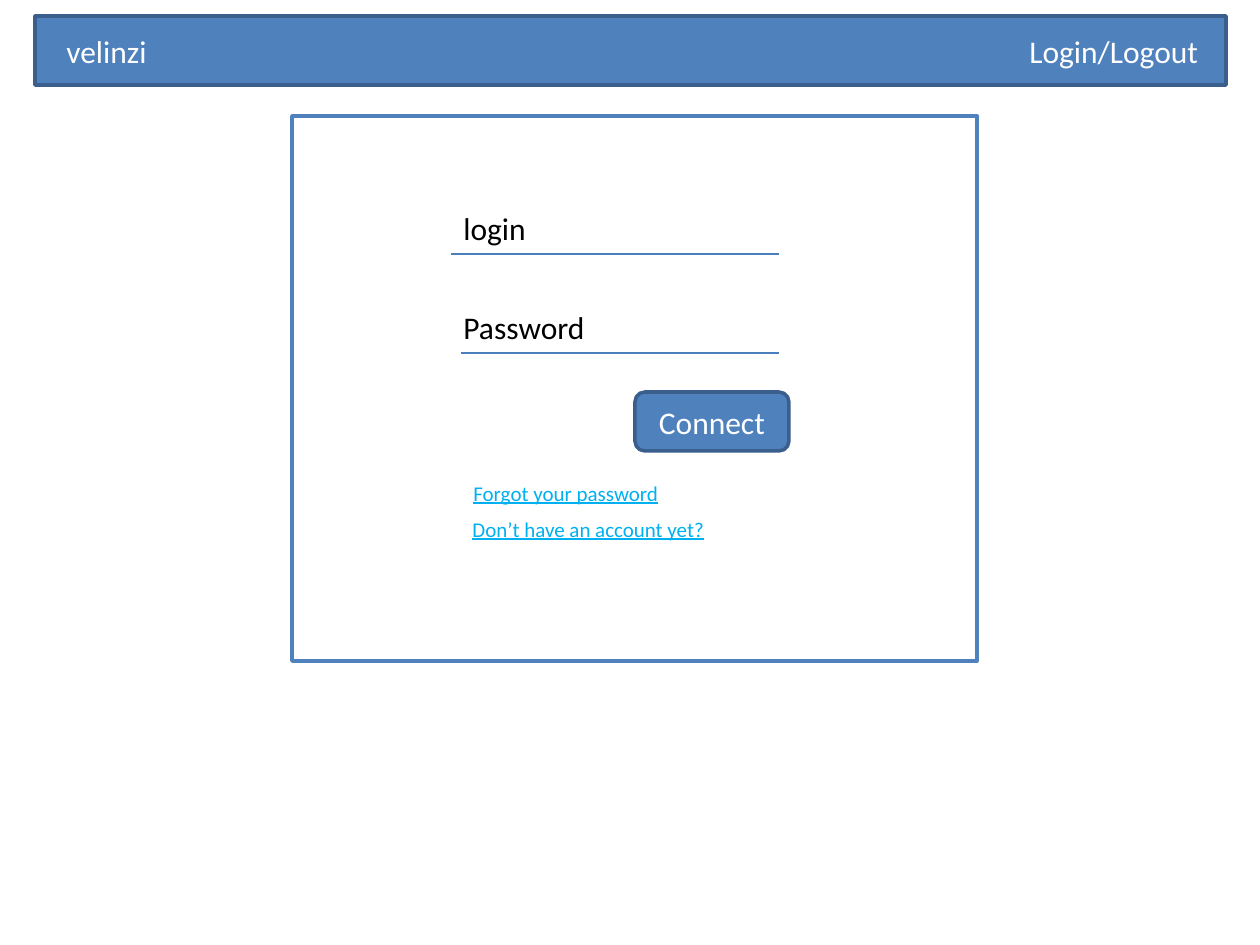
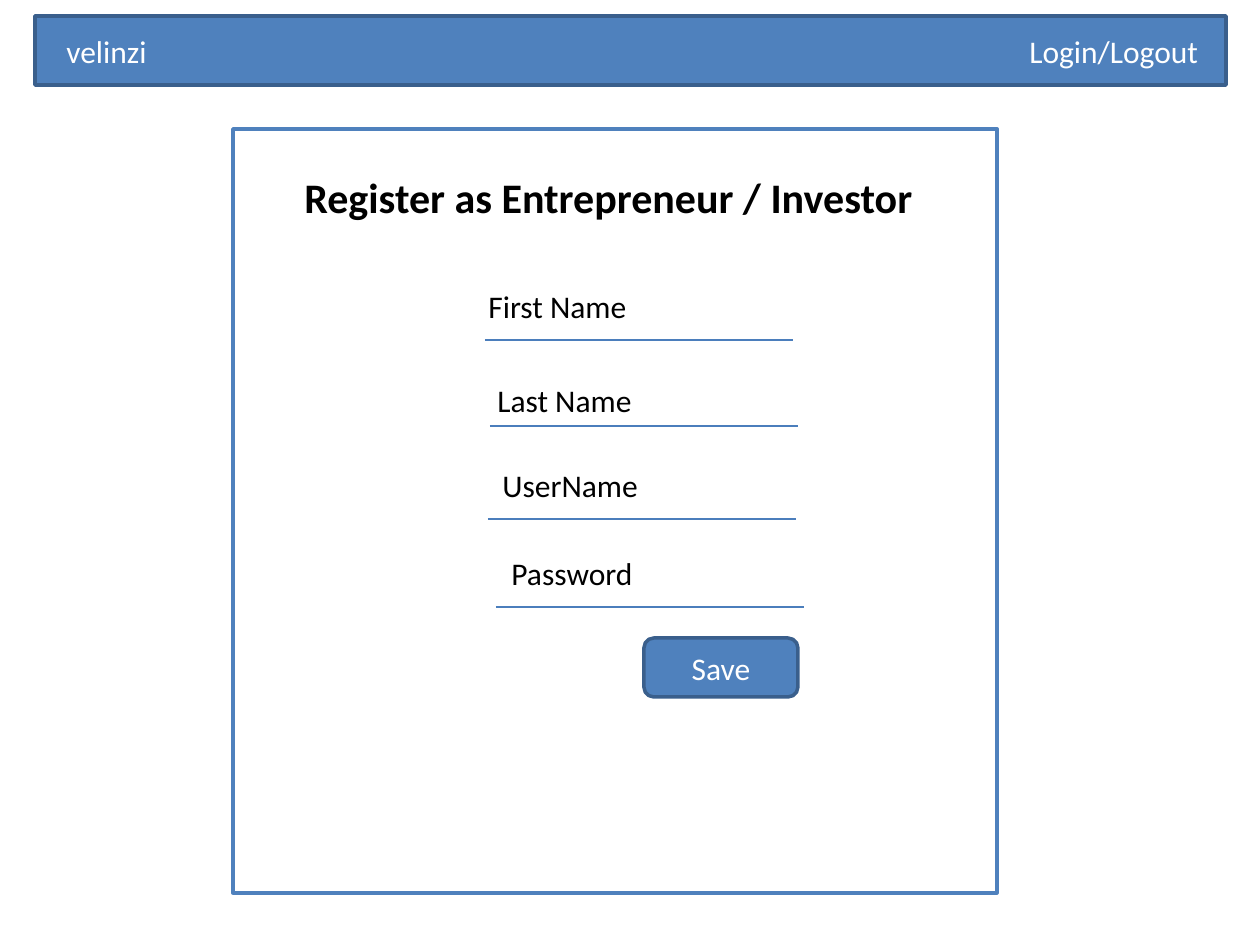
from dataclasses import dataclass

from lxml import etree
from pptx import Presentation
from pptx.dml.color import RGBColor
from pptx.enum.shapes import MSO_CONNECTOR, MSO_SHAPE
from pptx.enum.text import MSO_ANCHOR, MSO_AUTO_SIZE, PP_ALIGN
from pptx.oxml.ns import qn
from pptx.util import Pt

RECTANGLE = MSO_SHAPE.RECTANGLE
ROUNDED = MSO_SHAPE.ROUNDED_RECTANGLE
STRAIGHT = MSO_CONNECTOR.STRAIGHT
MIDDLE = MSO_ANCHOR.MIDDLE
FIT_SHAPE = MSO_AUTO_SIZE.SHAPE_TO_FIT_TEXT
LEFT = PP_ALIGN.LEFT
CENTER = PP_ALIGN.CENTER

EMU_PER_PIXEL = 914400 / 126
SLIDE_SIZE = (1260, 945)
BLANK_LAYOUT = 6


@dataclass(frozen=True)
class Theme:
    font: str = "Calibri"
    blue: str = "4F81BD"
    dark_blue: str = "3A5F8C"
    rule: str = "4B7EBC"
    link: str = "00B0F0"
    white: str = "FFFFFF"
    black: str = "000000"
    title_size: int = 24
    body_size: int = 18
    link_size: int = 12
    outline: float = 2
    rule_width: float = 0.75


THEME = Theme()
BODY = {"size": THEME.body_size, "color": THEME.black}
ON_BLUE = {**BODY, "color": THEME.white}
TITLE = {**BODY, "size": THEME.title_size, "bold": True}
LINK = {"size": THEME.link_size, "color": THEME.link, "underline": True}


def pixels(*lengths):
    return [round(length * EMU_PER_PIXEL) for length in lengths]


def set_attributes(target, values):
    for name, value in values.items():
        setattr(target, name, value)


def write(frame, text, style, align=LEFT):
    paragraph = frame.paragraphs[0]
    paragraph.alignment = align
    run = paragraph.add_run()
    run.text = text
    values = {"name": THEME.font, **style, "size": Pt(style["size"])}
    color = values.pop("color")
    set_attributes(run.font, values)
    run.font.color.rgb = RGBColor.from_string(color)


def add_label(slide, text, box, style=BODY):
    frame = slide.shapes.add_textbox(*pixels(*box)).text_frame
    set_attributes(frame, {"word_wrap": False, "auto_size": FIT_SHAPE})
    write(frame, text, style)


def add_panel(slide, kind, box, fill, outline):
    shape = slide.shapes.add_shape(kind, *pixels(*box))
    shape.shadow.inherit = False
    shape.fill.solid()
    shape.fill.fore_color.rgb = RGBColor.from_string(fill)
    shape.line.color.rgb = RGBColor.from_string(outline)
    shape.line.width = Pt(THEME.outline)
    return shape


def add_rule(slide, left, right, top):
    rule = slide.shapes.add_connector(STRAIGHT, *pixels(left, top, right, top))
    rule.line.color.rgb = RGBColor.from_string(THEME.rule)
    rule.line.width = Pt(THEME.rule_width)
    etree.SubElement(rule._element.spPr, qn("a:effectLst"))


def add_field(slide, text, label, rule):
    left, top, width = label
    add_rule(slide, *rule)
    add_label(slide, text, (left, top, width, 50))


def add_button(slide, text, left, top):
    button = add_panel(slide, ROUNDED, (left, top, 154, 59), THEME.blue, THEME.dark_blue)
    set_attributes(button.text_frame, {"word_wrap": True, "vertical_anchor": MIDDLE})
    write(button.text_frame, text, ON_BLUE, CENTER)


def add_page(presentation, card):
    slide = presentation.slides.add_slide(presentation.slide_layouts[BLANK_LAYOUT])
    add_panel(slide, RECTANGLE, (35, 16, 1191, 69), THEME.blue, THEME.dark_blue)
    add_label(slide, "velinzi", (54, 26, 123, 50), ON_BLUE)
    add_label(slide, "Login/Logout", (1017, 26, 197, 50), ON_BLUE)
    add_panel(slide, RECTANGLE, card, THEME.white, THEME.blue)
    return slide


def build_login(presentation):
    slide = add_page(presentation, (292, 116, 685, 545))
    add_field(slide, "login", (451, 203, 88), (451, 779, 254))
    add_field(slide, "Password", (451, 302, 147), (461, 779, 353))
    add_button(slide, "Connect", 635, 392)
    add_label(slide, "Forgot your password", (461, 474, 212, 38), LINK)
    add_label(slide, "Don’t have an account yet?", (460, 510, 260, 38), LINK)


def build_register(presentation):
    slide = add_page(presentation, (233, 129, 764, 764))
    rule_width = 308
    fields = [
        ("First Name", (476, 281, 165), 485, 340),
        ("Last Name", (485, 375, 161), 490, 426),
        ("UserName", (490, 460, 163), 488, 519),
        ("Password", (499, 548, 147), 496, 607),
    ]
    for text, label, left, top in fields:
        add_field(slide, text, label, (left, left + rule_width, top))
    add_button(slide, "Save", 644, 638)
    add_label(slide, "Register as Entrepreneur / Investor", (292, 165, 640, 63), TITLE)


def main():
    presentation = Presentation()
    width, height = pixels(*SLIDE_SIZE)
    set_attributes(presentation, {"slide_width": width, "slide_height": height})
    build_login(presentation)
    build_register(presentation)
    presentation.save("out.pptx")


main()
